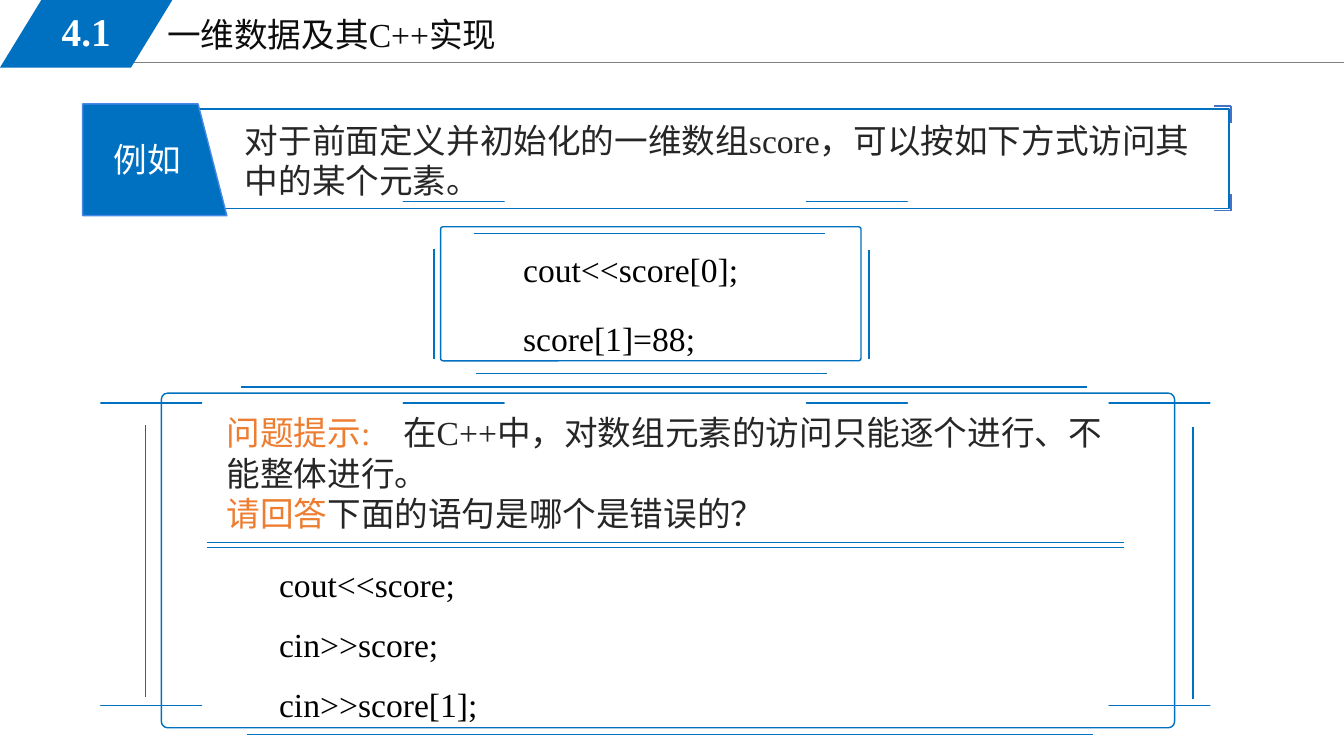
from lxml.etree import SubElement
from pptx import Presentation
from pptx.dml.color import RGBColor
from pptx.enum.shapes import MSO_CONNECTOR, MSO_SHAPE as Preset
from pptx.enum.text import MSO_ANCHOR as Anchor, PP_ALIGN as Align
from pptx.oxml.ns import qn
from pptx.util import Inches, Pt

BLUE = RGBColor(0x00, 0x70, 0xC0)
BADGE_EDGE = RGBColor(0x47, 0x88, 0xE6)
TICK_BLUE = RGBColor(0x44, 0x72, 0xC4)
GRAY = RGBColor(0x80, 0x80, 0x80)
ORANGE = RGBColor(0xED, 0x7D, 0x31)
WHITE = RGBColor(0xFF, 0xFF, 0xFF)
BLACK = RGBColor(0x00, 0x00, 0x00)
TITLE_INK = RGBColor(0x0D, 0x0D, 0x0D)
INK = RGBColor(0x26, 0x26, 0x26)
FONT = "Times New Roman"

# Distances inward from a frame's corner, in units of the bracket's size.
BRACKET = [(0.1, 0), (0.56, 0), (0.49, 0.07), (0.95, 0.07), (1, 0.1), (0.22, 0.1),
           (0.1, 0.2), (0.1, 0.97), (0.06, 1), (0.06, 0.53), (0, 0.6), (0, 0.1)]


def style(shape, fill=None, line=None):
    shape.shadow.inherit = False
    if fill is None:
        shape.fill.background()
    else:
        shape.fill.solid()
        shape.fill.fore_color.rgb = fill
    if line is None:
        shape.line.fill.background()
    else:
        shape.line.color.rgb = line
        shape.line.width = Pt(1)


def add_box(slide, preset, left, top, width, height, fill=None, line=None,
            adjust=None, rotation=0):
    box = slide.shapes.add_shape(
        preset, Inches(left), Inches(top), Inches(width), Inches(height))
    style(box, fill, line)
    if adjust is not None:
        box.adjustments[0] = adjust
    box.rotation = rotation


def add_line(slide, x1, y1, x2, y2, color=BLUE, weight=1):
    line = slide.shapes.add_connector(
        MSO_CONNECTOR.STRAIGHT, Inches(x1), Inches(y1), Inches(x2), Inches(y2))
    line.line.color.rgb = color
    line.line.width = Pt(weight)
    SubElement(line._element.spPr, qn("a:effectLst"))


def add_text(slide, paragraphs, left, top, width, height, size=24, color=BLACK, bold=False,
             align=Align.LEFT, anchor=Anchor.TOP, spacing=1, gap=0, indent=0, tab=None):
    """Each paragraph is a string or a list of (text, colour) runs."""
    frame = slide.shapes.add_textbox(
        Inches(left), Inches(top), Inches(width), Inches(height)).text_frame
    frame.word_wrap = True
    frame.vertical_anchor = anchor
    for index, runs in enumerate(paragraphs):
        paragraph = frame.add_paragraph() if index else frame.paragraphs[0]
        paragraph.alignment = align
        paragraph.line_spacing = spacing
        if index and gap:
            paragraph.space_before = Pt(gap)
        properties = paragraph._p.get_or_add_pPr()
        if indent:
            properties.set("marL", str(Inches(indent)))
        if tab:
            stops = SubElement(properties, qn("a:tabLst"))
            SubElement(stops, qn("a:tab"), pos=str(Inches(tab)), algn="l")
        for text, ink in [(runs, color)] if isinstance(runs, str) else runs:
            run = paragraph.add_run()
            run.text = text
            run.font.name = FONT
            run.font.size = Pt(size)
            run.font.bold = bold
            run.font.color.rgb = ink


def add_bracket(slide, corner_x, corner_y, step_x, step_y):
    """Signed steps point from the corner into the frame."""
    points = [(corner_x + u * step_x, corner_y + v * step_y) for u, v in BRACKET]
    builder = slide.shapes.build_freeform(*points[0], scale=Inches(1))
    builder.add_line_segments(points[1:], close=True)
    style(builder.convert_to_shape(), BLUE, BLUE)


def add_tech_frame(slide, left, top, right, bottom, w, h, panel):
    """Rounded panel with four w by h corner brackets and broken edge lines."""
    add_box(slide, Preset.ROUNDED_RECTANGLE, *panel, line=BLUE, adjust=0.019)
    for x, step_x in ((left, w), (right, -w)):
        for y, step_y in ((top, h), (bottom, -h)):
            add_bracket(slide, x, y, step_x, step_y)
    for y, start, end in ((top + 0.06 * h, 1.16, 1.3), (bottom - 0.04 * h, 1.23, 1.23)):
        add_line(slide, left + start * w, y, right - end * w, y)
    for x, start, end in ((left + 0.07 * w, 1.33, 1.27), (right - 0.09 * w, 1.4, 1.23)):
        add_line(slide, x, top + start * h, x, bottom - end * h)


def add_heading(slide):
    add_line(slide, 1.13, 0.62, 13.33, 0.62, GRAY, 0.75)
    add_text(slide, ["一维数据及其C++实现"], 1.56, 0.09, 5.67, 0.51, color=TITLE_INK)
    add_box(slide, Preset.PARALLELOGRAM, 0, 0, 1.71, 0.67, BLUE, adjust=0.612)
    add_text(slide, ["4.1"], 0.25, 0.02, 1.21, 0.58, size=28, color=WHITE, bold=True,
             align=Align.CENTER, anchor=Anchor.MIDDLE)


def add_example(slide):
    add_box(slide, Preset.RECTANGLE, 0.82, 1.08, 11.37, 0.99, line=BLUE)
    add_box(slide, Preset.FLOWCHART_MANUAL_INPUT, 0.98, 0.87, 1.11, 1.43, BLUE, BADGE_EDGE,
            rotation=90)
    add_text(slide, ["例如"], 1.03, 1.33, 1.3, 0.5, color=WHITE)
    add_text(slide, ["对于前面定义并初始化的一维数组score，可以按如下方式访问其中的某个元素。"],
             2.33, 1.14, 9.86, 0.91, color=INK)
    for y, inward in ((1.05, 0.17), (2.09, -0.17)):
        add_line(slide, 12.04, y, 12.21, y, TICK_BLUE)
        add_line(slide, 12.21, y, 12.21, y + inward, TICK_BLUE)


def add_access_code(slide):
    add_tech_frame(slide, 4.28, 2.31, 8.65, 3.71, 0.36, 0.12, (4.37, 2.25, 4.17, 1.33))
    add_text(slide, ["cout<<score[0];", "score[1]=88;"], 4.8, 2.22, 4.81, 1.32,
             spacing=1.5, gap=6, indent=0.29)


def add_question(slide):
    add_tech_frame(slide, 1.38, 3.82, 11.91, 7.3, 0.87, 0.3, (1.6, 3.9, 10.05, 3.32))
    add_text(slide, [
        [("问题提示:\t", ORANGE), ("在C++中，对数组元素的访问只能逐个进行、不能整体进行。", INK)],
        [("请回答", ORANGE), ("下面的语句是哪个是错误的？", INK)],
    ], 2.15, 4.04, 8.94, 1.31, tab=1.75)
    for y in (5.38, 5.43):
        add_line(slide, 2.05, y, 11.15, y)
    add_text(slide, ["cout<<score;", "cin>>score;", "cin>>score[1];"],
             2.67, 5.34, 3.83, 1.85, spacing=1.5)


def main():
    deck = Presentation()
    deck.slide_width, deck.slide_height = Inches(13.33), Inches(7.5)
    slide = deck.slides.add_slide(deck.slide_layouts[6])
    add_heading(slide)
    add_example(slide)
    add_access_code(slide)
    add_question(slide)
    deck.save("out.pptx")


if __name__ == "__main__":
    main()
